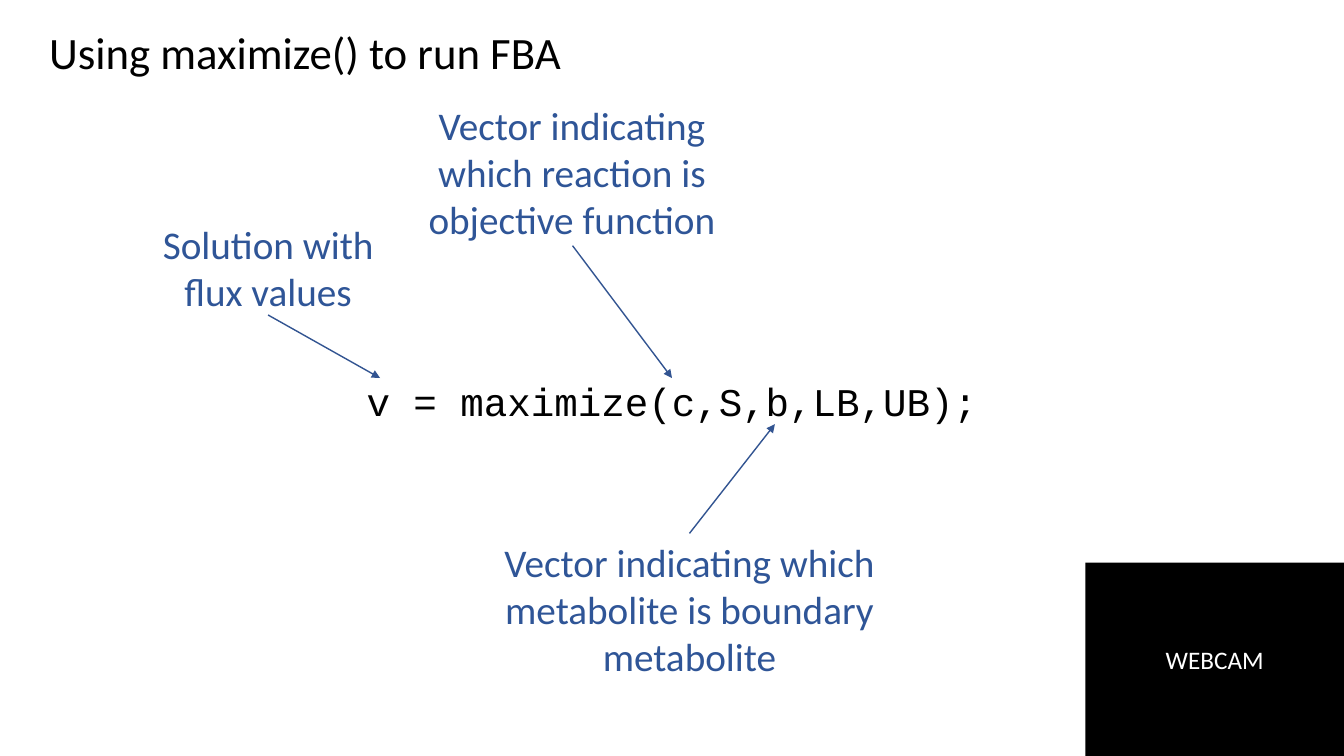
"""Build a slide explaining the arguments of maximize() for running FBA."""
from lxml import etree
from pptx import Presentation
from pptx.dml.color import RGBColor
from pptx.enum import shapes, text
from pptx.oxml import ns
from pptx.util import Pt

BLACK, WHITE, NOTE_BLUE, ARROW_BLUE = "000000", "FFFFFF", "2F5597", "325491"
CENTER, LEFT = text.PP_ALIGN.CENTER, text.PP_ALIGN.LEFT
TOP, MIDDLE = text.MSO_ANCHOR.TOP, text.MSO_ANCHOR.MIDDLE


def color(value):
    return RGBColor.from_string(value)


def write(box, words, size, ink, font="Calibri", align=CENTER, anchor=TOP):
    frame = box.text_frame
    frame.text = words
    frame.word_wrap = True
    frame.vertical_anchor = anchor
    para = frame.paragraphs[0]
    para.alignment = align
    span = para.runs[0]
    span.font.size = Pt(size)
    span.font.name = font
    span.font.color.rgb = color(ink)
    return para


deck = Presentation()
deck.slide_width, deck.slide_height = Pt(960), Pt(540)
page = deck.slides.add_slide(deck.slide_layouts[6])

title = page.shapes.add_textbox(Pt(28), Pt(15), Pt(865), Pt(49))
para = write(title, "Using maximize() to run FBA", 32, BLACK, align=LEFT, anchor=MIDDLE)
para.line_spacing = 0.9

code = page.shapes.add_textbox(Pt(120), Pt(270), Pt(720), Pt(42.5))
para = write(code, "v = maximize(c,S,b,LB,UB);", 28, BLACK, font="Courier New")
para.line_spacing = 0.9
para.space_before = Pt(10)

panels = [
    ("WEBCAM", 775.4, 401.8, 184.6, 138.2, BLACK, 18, WHITE, MIDDLE),
    ("Solution with flux values", 98, 153.5, 187, 71.5, WHITE, 28, NOTE_BLUE, TOP),
    ("Vector indicating which metabolite is boundary metabolite",
     350, 381, 285, 113, WHITE, 28, NOTE_BLUE, TOP),
    ("Vector indicating which reaction is objective function",
     288, 68.5, 241, 107, WHITE, 28, NOTE_BLUE, TOP),
]
for words, left, top, width, height, fill, size, ink, anchor in panels:
    box = page.shapes.add_shape(
        shapes.MSO_SHAPE.RECTANGLE, Pt(left), Pt(top), Pt(width), Pt(height))
    box.shadow.inherit = False
    box.fill.solid()
    box.fill.fore_color.rgb = color(fill)
    box.line.fill.background()
    write(box, words, size, ink, anchor=anchor)

arrows = [
    (191.5, 225, 271.5, 270),
    (409, 175.5, 480, 270),
    (492.5, 381, 553.5, 303),
]
for ends in arrows:
    arrow = page.shapes.add_connector(
        shapes.MSO_CONNECTOR.STRAIGHT, *[Pt(end) for end in ends])
    arrow.line.color.rgb = color(ARROW_BLUE)
    arrow.line.width = Pt(1)
    outline = arrow.line._get_or_add_ln()
    etree.SubElement(outline, ns.qn("a:tailEnd"), type="triangle")
    etree.SubElement(arrow._element.spPr, ns.qn("a:effectLst"))

deck.save("out.pptx")
